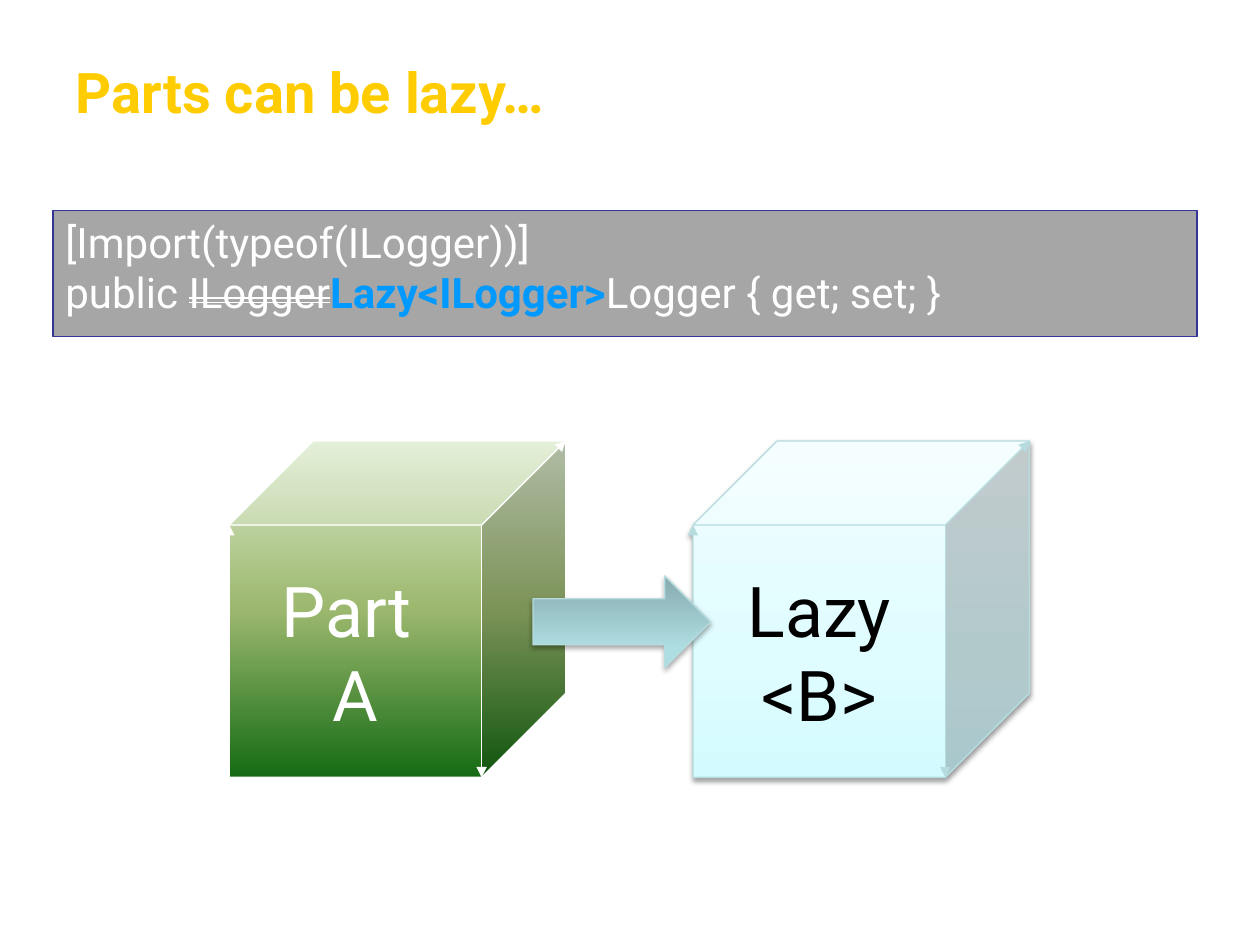
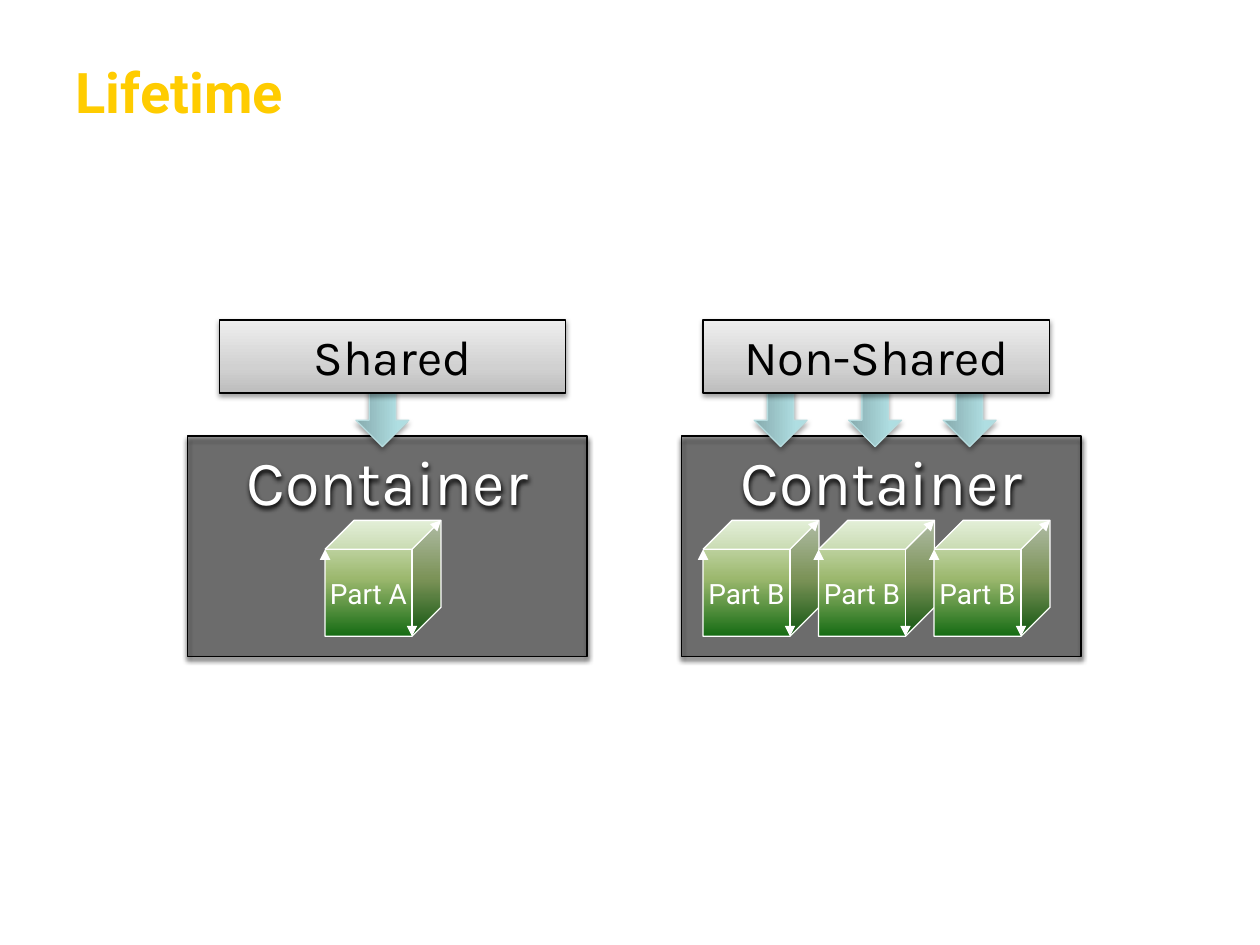
from dataclasses import dataclass
from typing import NamedTuple, Optional

from lxml.etree import SubElement
from pptx import Presentation
from pptx.dml.color import RGBColor
from pptx.enum.shapes import MSO_SHAPE
from pptx.enum.text import MSO_ANCHOR, MSO_AUTO_SIZE, PP_ALIGN
from pptx.oxml.ns import qn
from pptx.util import Inches, Pt


class Box(NamedTuple):
    """Position and size in inches."""
    left: float
    top: float
    width: float
    height: float


class Shadow(NamedTuple):
    """Black shadow straight below: opacity in percent, lengths in points."""
    opacity: int
    blur: float
    distance: float


@dataclass(frozen=True)
class Gradient:
    """Colour stops as (percent, colour), with a clockwise angle."""
    stops: tuple
    angle: int


@dataclass(frozen=True)
class Look:
    """Fill, outline and shadow; without a gradient the fill is a black veil."""
    outline: str
    gradient: Optional[Gradient] = None
    shadow: Optional[Shadow] = None
    arrowhead: bool = False


@dataclass(frozen=True)
class Lettering:
    """Font, size and colour of a caption."""
    font: str
    size: int
    color: str


DEEP_SHADOW = Shadow(35, 3.1, 1.8)
SOFT_SHADOW = Shadow(38, 3.1, 1.6)


@dataclass(frozen=True)
class Theme:
    """Colours, type sizes and looks shared by the slides."""
    black: str = "000000"
    highlight: str = "0099FF"
    veil_opacity: int = 35
    title: Lettering = Lettering("Roboto", 32, "FFCC00")
    code: Lettering = Lettering("Roboto", 24, "FFFFFF")
    big_part: Lettering = Lettering("Roboto", 40, "FFFFFF")
    lazy_part: Lettering = Lettering("Roboto", 40, "000000")
    small_part: Lettering = Lettering("Roboto", 16, "FFFFFF")
    container: Lettering = Lettering("Karla", 36, "FFFFFF")
    policy: Lettering = Lettering("Karla", 28, "000000")
    code_look: Look = Look("333399")
    container_look: Look = Look("000000", shadow=DEEP_SHADOW)
    part_look: Look = Look(
        "FFFFFF",
        Gradient(((0, "DDEBCF"), (50, "9CB86E"), (100, "156B13")), 90),
        arrowhead=True)
    lazy_look: Look = Look(
        "B6DCDF",
        Gradient(((0, "D3FBFF"), (35, "DFFCFF"), (100, "F2FEFF")), 270),
        SOFT_SHADOW, True)
    arrow_look: Look = Look(
        "B6DCDF",
        Gradient(((0, "87ABAE"), (80, "AFDEE2"), (100, "AFE0E4")), 270),
        DEEP_SHADOW, True)
    policy_look: Look = Look(
        "000000",
        Gradient(((0, "BDBDBD"), (35, "D1D1D1"), (100, "EEEEEE")), 270),
        SOFT_SHADOW)


THEME = Theme()
TITLE_BOX = Box(0.5, 0.1, 9, 1.25)


@dataclass(frozen=True)
class Lifetime:
    """A creation policy above the container holding its parts."""
    policy: str
    part_caption: str
    part_count: int
    policy_left: float
    container_left: float
    first_part_left: float
    first_arrow_left: float


LIFETIMES = (
    Lifetime("Shared", "Part A", 1, 1.74, 1.49, 2.58, 2.66),
    Lifetime("Non-Shared", "Part B", 3, 5.58, 5.41, 5.58, 5.82),
)
PART_SIZE = 0.92
PART_STEP = 2.75 / 3
ARROW_STEP = 0.75


def add_color(parent, color: str, opacity: int = 100):
    """Append an RGB colour element with its opacity."""
    rgb = SubElement(parent, qn("a:srgbClr"), val=color)
    if opacity < 100:
        SubElement(rgb, qn("a:alpha"), val=str(opacity * 1000))


def add_shadow(effects, shadow: Shadow):
    """Append a downward outer shadow to an effect list."""
    outer = SubElement(effects, qn("a:outerShdw"), blurRad=str(Pt(shadow.blur)),
                       dist=str(Pt(shadow.distance)), dir="5400000",
                       algn="t", rotWithShape="0")
    add_color(outer, THEME.black, shadow.opacity)


def apply_look(shape, look: Look):
    """Give a shape its fill, outline, arrowhead and shadow."""
    properties = shape.element.spPr
    if look.gradient:
        shape.fill.gradient()
        shape.fill.gradient_angle = 360 - look.gradient.angle
        stops = properties.find(".//" + qn("a:gsLst"))
        for stop in list(stops):
            stops.remove(stop)
        for percent, color in look.gradient.stops:
            add_color(SubElement(stops, qn("a:gs"), pos=str(percent * 1000)), color)
    else:
        shape.fill.solid()
        shape.fill.fore_color.rgb = RGBColor.from_string(THEME.black)
        veil = properties.find(qn("a:solidFill"))[0]
        SubElement(veil, qn("a:alpha"), val=str(THEME.veil_opacity * 1000))
    shape.line.width = Pt(0.75)
    shape.line.color.rgb = RGBColor.from_string(look.outline)
    if look.arrowhead:
        SubElement(properties.find(qn("a:ln")), qn("a:tailEnd"), type="triangle")
    shape.shadow.inherit = False
    if look.shadow:
        add_shadow(properties.find(qn("a:effectLst")), look.shadow)


def format_paragraph(paragraph, lettering: Lettering, align=PP_ALIGN.CENTER):
    """Set a paragraph's alignment and font."""
    paragraph.alignment = align
    paragraph.font.name = lettering.font
    paragraph.font.size = Pt(lettering.size)
    paragraph.font.color.rgb = RGBColor.from_string(lettering.color)


def add_figure(slide, kind, box: Box, look: Look, caption: str = "",
               lettering: Optional[Lettering] = None, anchor=MSO_ANCHOR.TOP):
    """Draw a preset shape with an optional centred caption."""
    figure = slide.shapes.add_shape(kind, *map(Inches, box))
    apply_look(figure, look)
    if lettering:
        frame = figure.text_frame
        frame.text = caption
        frame.word_wrap = False
        frame.vertical_anchor = anchor
        for paragraph in frame.paragraphs:
            format_paragraph(paragraph, lettering)
    return figure


def add_part(slide, left: float, top: float, size: float, caption: str,
             look: Look, lettering: Lettering):
    """Draw a part as a captioned cube."""
    add_figure(slide, MSO_SHAPE.CUBE, Box(left, top, size, size), look,
               caption, lettering, MSO_ANCHOR.MIDDLE)


def add_arrow(slide, box: Box, rotation: int, flipped: bool = False):
    """Draw a block arrow turned from pointing left."""
    arrow = add_figure(slide, MSO_SHAPE.LEFT_ARROW, box, THEME.arrow_look)
    arrow.rotation = rotation
    if flipped:
        arrow.element.spPr.find(qn("a:xfrm")).set("flipV", "1")


def add_code(slide, box: Box):
    """Draw the import declaration with its type replaced by a lazy one."""
    panel = add_figure(slide, MSO_SHAPE.RECTANGLE, box, THEME.code_look)
    frame = panel.text_frame
    frame.word_wrap = True
    frame.vertical_anchor = MSO_ANCHOR.TOP
    frame.text = "[Import(typeof(ILogger))]"
    declaration = frame.add_paragraph()
    for paragraph in frame.paragraphs:
        format_paragraph(paragraph, THEME.code, PP_ALIGN.LEFT)
    words = ("public ", "ILogger", "Lazy<ILogger>", "Logger { get; set; }")
    runs = [declaration.add_run() for _ in words]
    for run, word in zip(runs, words):
        run.text = word
        run.font.color.rgb = RGBColor.from_string(THEME.code.color)
    _, replaced, lazy, _ = runs
    replaced.font._element.set("strike", "dblStrike")
    lazy.font.bold = True
    lazy.font.color.rgb = RGBColor.from_string(THEME.highlight)


def add_titled_slide(deck, heading: str):
    """Add a title-only slide with the shared title style."""
    slide = deck.slides.add_slide(deck.slide_layouts[5])
    title = slide.shapes.title
    title.left, title.top, title.width, title.height = map(Inches, TITLE_BOX)
    frame = title.text_frame
    frame.text = heading
    frame.auto_size = MSO_AUTO_SIZE.NONE
    frame.vertical_anchor = MSO_ANCHOR.MIDDLE
    paragraph = frame.paragraphs[0]
    format_paragraph(paragraph, THEME.title, PP_ALIGN.LEFT)
    paragraph.font.bold = True
    run_properties = paragraph.runs[0].font._element
    add_shadow(SubElement(run_properties, qn("a:effectLst")), Shadow(100, 0, 1.5))
    return slide


def add_lifetime(slide, lifetime: Lifetime):
    """Draw a container, its parts, and the policy pointing at them."""
    add_figure(slide, MSO_SHAPE.RECTANGLE,
               Box(lifetime.container_left, 3.46, 3.17, 1.75),
               THEME.container_look, "Container", THEME.container)
    for index in range(lifetime.part_count):
        add_part(slide, lifetime.first_part_left + index * PART_STEP, 4.13,
                 PART_SIZE, lifetime.part_caption, THEME.part_look,
                 THEME.small_part)
    for index in range(lifetime.part_count):
        left = lifetime.first_arrow_left + index * ARROW_STEP
        add_arrow(slide, Box(left, 2.96, 0.75, 0.42), 270, flipped=True)
    add_figure(slide, MSO_SHAPE.RECTANGLE,
               Box(lifetime.policy_left, 2.54, 2.75, 0.58),
               THEME.policy_look, lifetime.policy, THEME.policy)


def build_lazy_slide(deck):
    """Show a part importing another one lazily."""
    slide = add_titled_slide(deck, "Parts can be lazy…")
    add_part(slide, 1.82, 3.5, 2.67, "Part \nA", THEME.part_look, THEME.big_part)
    add_part(slide, 5.5, 3.5, 2.67, "Lazy\n<B>", THEME.lazy_look, THEME.lazy_part)
    add_code(slide, Box(0.42, 1.67, 9.08, 1))
    add_arrow(slide, Box(4.23, 4.57, 1.41, 0.73), 180)


def build_lifetime_slide(deck):
    """Compare shared and non-shared parts."""
    slide = add_titled_slide(deck, "Lifetime")
    for lifetime in LIFETIMES:
        add_lifetime(slide, lifetime)


def main():
    """Build and save the deck."""
    deck = Presentation()
    deck.slide_width, deck.slide_height = Inches(10), Inches(7.5)
    build_lazy_slide(deck)
    build_lifetime_slide(deck)
    deck.save("out.pptx")


main()
